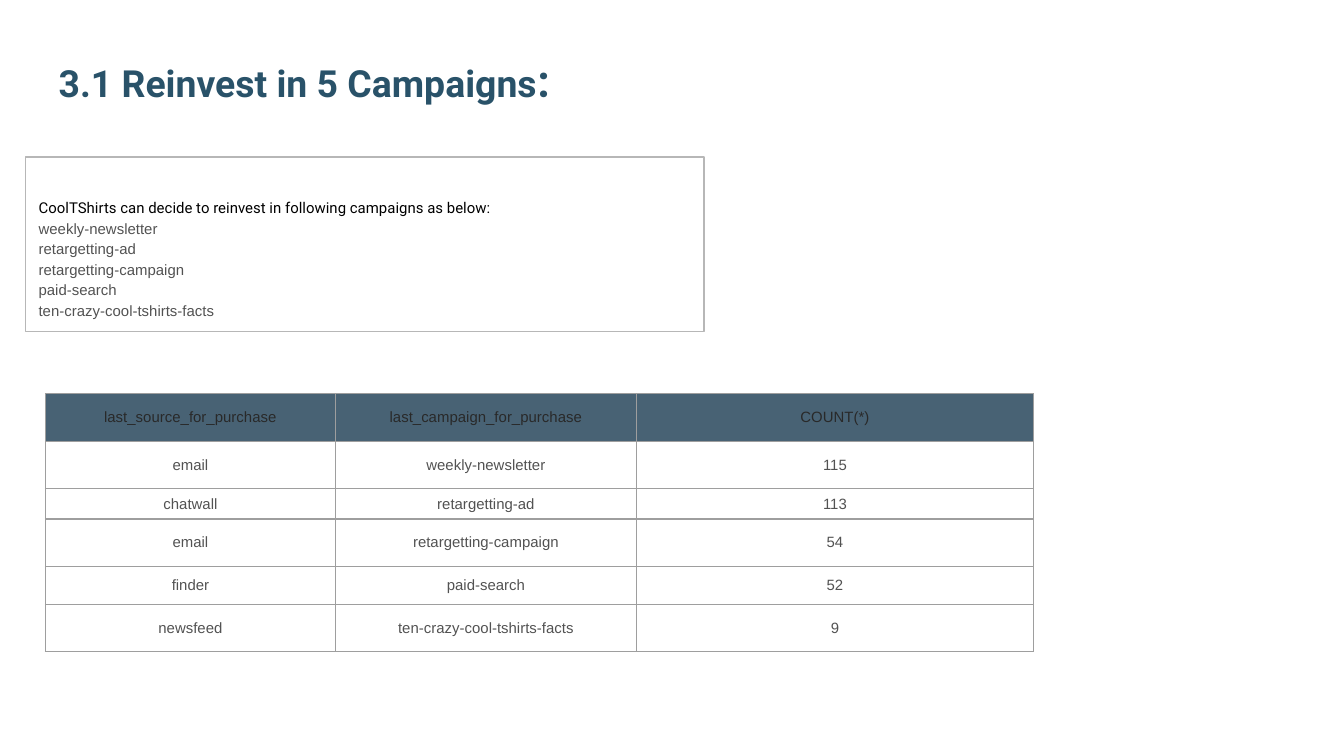
"""Build the slide on reinvesting in five campaigns."""
from lxml.etree import SubElement
from pptx import Presentation
from pptx.dml.color import RGBColor
from pptx.enum.shapes import MSO_SHAPE as Shape
from pptx.enum.text import MSO_ANCHOR as Anchor, PP_ALIGN as Align
from pptx.oxml import parse_xml
from pptx.oxml.ns import nsdecls, qn
from pptx.util import Cm, Pt

BLACK = RGBColor(0x00, 0x00, 0x00)
TITLE_BLUE = RGBColor(0x29, 0x52, 0x69)
HEADER_BLUE = RGBColor(0x20, 0x40, 0x56)
HEADER_TEXT = RGBColor(0x29, 0x29, 0x29)
BODY_TEXT = RGBColor(0x52, 0x52, 0x52)
FRAME_GRAY = RGBColor(0xB7, 0xB7, 0xB7)
GRID_GRAY = RGBColor(0x9E, 0x9E, 0x9E)


def style(font, name, size, color, bold=False):
    font.name, font.size, font.bold = name, Pt(size), bold
    font.color.rgb = color


def add_borders(cell):
    properties = cell._tc.get_or_add_tcPr()
    for index, side in enumerate(("lnL", "lnR", "lnT", "lnB")):
        properties.insert(index, parse_xml(
            f'<a:{side} {nsdecls("a")} w="{Pt(0.75)}"><a:solidFill>'
            f'<a:srgbClr val="{GRID_GRAY}"/></a:solidFill></a:{side}>'))


presentation = Presentation()
presentation.slide_width, presentation.slide_height = Cm(25.4), Cm(14.29)
slide = presentation.slides.add_slide(presentation.slide_layouts[6])

title = slide.shapes.add_textbox(Cm(0.86), Cm(0.81), Cm(23.67), Cm(1.45)).text_frame
title.word_wrap = True
title.vertical_anchor = Anchor.BOTTOM
title.margin_left = title.margin_right = title.margin_top = title.margin_bottom = Cm(0.25)
heading = title.paragraphs[0]
for words, size in (("3.1 Reinvest in 5 Campaigns", 20), (":", 24)):
    run = heading.add_run()
    run.text = words
    style(run.font, "Roboto", size, TITLE_BLUE, bold=True)

campaigns = ["weekly-newsletter", "retargetting-ad", "retargetting-campaign",
             "paid-search", "ten-crazy-cool-tshirts-facts"]
sources = ["email", "chatwall", "email", "finder", "newsfeed"]
counts = ["115", "113", "54", "52", "9"]

summary = slide.shapes.add_shape(Shape.RECTANGLE, Cm(0.48), Cm(2.97), Cm(12.83), Cm(3.3))
summary.shadow.inherit = False
summary.fill.background()
summary.line.color.rgb = FRAME_GRAY
summary.line.width = Pt(0.75)
summary_text = summary.text_frame
summary_text.word_wrap = True
summary_text.vertical_anchor = Anchor.TOP
summary_text.margin_left = summary_text.margin_right = summary_text.margin_bottom = Cm(0.25)
summary_text.margin_top = Cm(0.74)
intro = "CoolTShirts can decide to reinvest in following campaigns as below:"
summary_text.text = "\n".join([intro] + campaigns)
for position, paragraph in enumerate(summary_text.paragraphs):
    paragraph.alignment = Align.LEFT
    paragraph.line_spacing = 1.15
    name, color = ("Arial", BODY_TEXT) if position else ("Roboto", BLACK)
    style(paragraph.runs[0].font, name, 8, color)

rows = [("last_source_for_purchase", "last_campaign_for_purchase", "COUNT(*)")]
rows += zip(sources, campaigns, counts)
column_widths = (5.48, 5.69, 7.5)
row_heights = (0.9, 0.9, 0.57, 0.9, 0.71, 0.9)
purchases = slide.shapes.add_table(
    len(rows), len(column_widths), Cm(0.86), Cm(7.44),
    Cm(sum(column_widths)), Cm(sum(row_heights))).table
purchases.first_row = purchases.horz_banding = False
for column, width in zip(purchases.columns, column_widths):
    column.width = Cm(width)
for row, height in zip(purchases.rows, row_heights):
    row.height = Cm(height)

for row_index, values in enumerate(rows):
    for column_index, value in enumerate(values):
        cell = purchases.cell(row_index, column_index)
        cell.text = value
        cell.vertical_anchor = Anchor.MIDDLE
        cell.margin_top = cell.margin_bottom = Cm(0.1)
        paragraph = cell.text_frame.paragraphs[0]
        paragraph.alignment = Align.CENTER
        style(paragraph.runs[0].font, "Arial", 8, BODY_TEXT if row_index else HEADER_TEXT)
        if row_index:
            cell.fill.background()
        else:
            cell.fill.solid()
            cell.fill.fore_color.rgb = HEADER_BLUE
            tint = cell._tc.tcPr.find(qn("a:solidFill")).find(qn("a:srgbClr"))
            SubElement(tint, qn("a:alpha")).set("val", "82000")
        add_borders(cell)

presentation.save("out.pptx")
